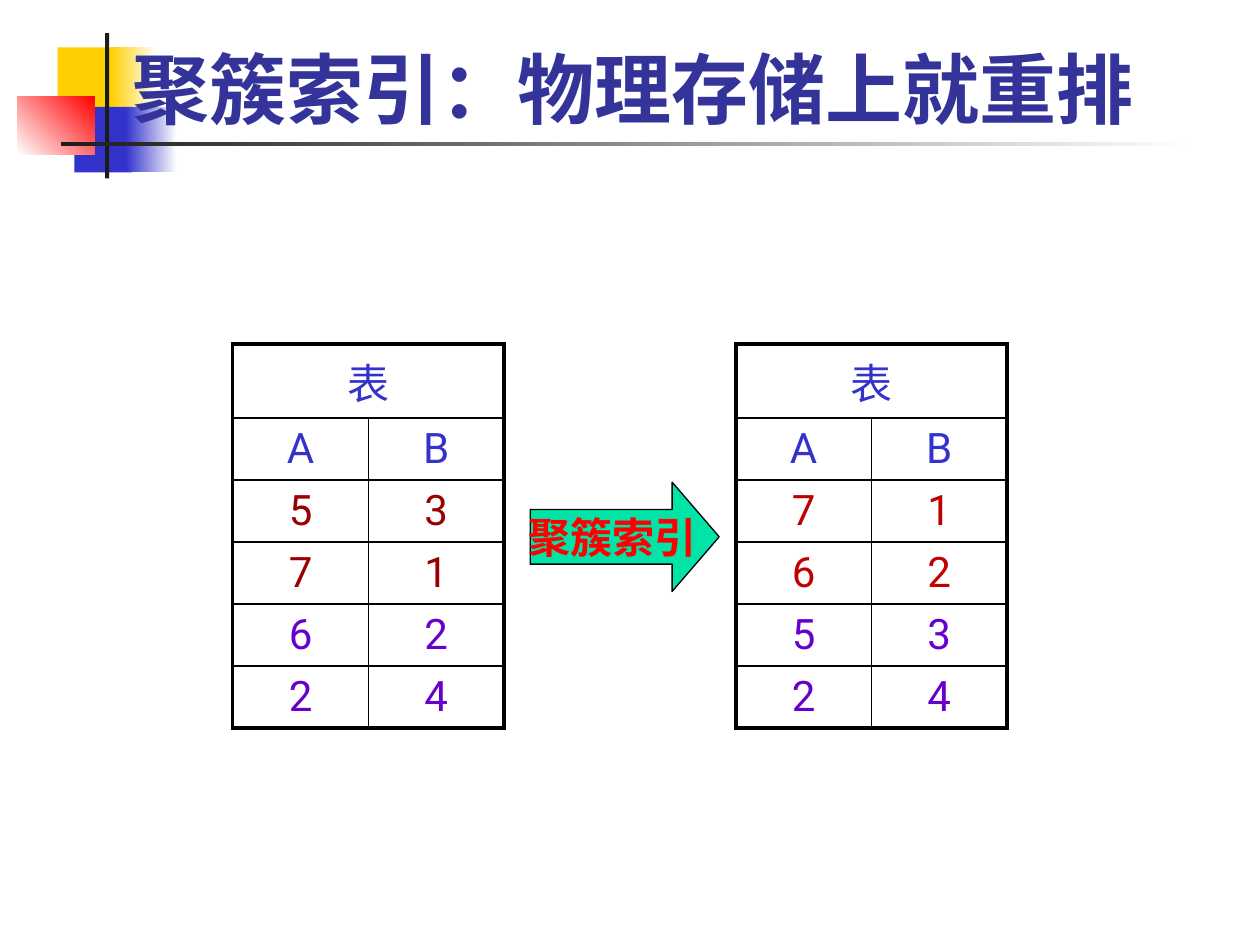
import dataclasses

import lxml.etree
import pptx
import pptx.dml.color
import pptx.enum.shapes
import pptx.enum.text
import pptx.oxml
import pptx.oxml.ns
import pptx.util

Pt = pptx.util.Pt
RGB = pptx.dml.color.RGBColor.from_string
SHAPE = pptx.enum.shapes.MSO_SHAPE
ALIGN = pptx.enum.text.PP_ALIGN
ANCHOR = pptx.enum.text.MSO_ANCHOR


@dataclasses.dataclass(frozen=True)
class Theme:
    font: str = "Roboto"
    cjk_font: str = "Noto Sans CJK JP"
    title_size: float = 44
    body_size: float = 24
    outer_line: float = 2.25
    inner_line: float = 1
    title: str = "333399"
    blue: str = "3333CC"
    yellow: str = "FFCF01"
    red: str = "FF0000"
    white: str = "FFFFFF"
    ink: str = "1C1C1C"
    black: str = "000000"
    arrow: str = "00E4A8"
    dark_red: str = "990000"
    crimson: str = "C00000"
    purple: str = "6600CC"


THEME = Theme()


def style(p, size, color, font, bold=False):
    p.alignment = ALIGN.CENTER
    p.font.size = Pt(size)
    p.font.name = font
    p.font.bold = bold
    p.font.color.rgb = RGB(color)


def add_block(s, left, top, width, height, colors, angle=0):
    """Borderless rectangle: one colour is solid, two make a gradient."""
    sp = s.shapes.add_shape(SHAPE.RECTANGLE, Pt(left), Pt(top), Pt(width), Pt(height))
    sp.shadow.inherit = False
    sp.line.fill.background()
    if len(colors) == 1:
        sp.fill.solid()
        sp.fill.fore_color.rgb = RGB(colors[0])
        return
    sp.fill.gradient()
    sp.fill.gradient_angle = angle
    for stop, color in zip(sp.fill.gradient_stops, colors):
        stop.color.rgb = RGB(color)


def add_decoration(s, left, top):
    """Overlapping colour blocks crossed by two rules."""
    t = THEME
    blocks = [
        (23, 8, 34.5, 37.5, [t.yellow], 0),
        (53.5, 8, 26, 37.5, [t.yellow, t.white], 0),
        (32.5, 42, 33, 37.5, [t.blue], 0),
        (62, 42, 29, 37.5, [t.blue, t.white], 0),
        (0, 36, 44, 33.5, [t.white, t.red], 45),
        (50, 0, 2.4, 83, [t.ink], 0),
        (25, 62, 648, 2.4, [t.ink, t.white], 0),
    ]
    for x, y, width, height, colors, angle in blocks:
        add_block(s, left + x, top + y, width, height, colors, angle)


def add_title(s, left, top, width, height, text):
    sp = s.shapes.title
    sp.left, sp.top, sp.width, sp.height = Pt(left), Pt(top), Pt(width), Pt(height)
    tf = sp.text_frame
    tf.text = text
    tf.auto_size = pptx.enum.text.MSO_AUTO_SIZE.NONE
    tf.vertical_anchor = ANCHOR.BOTTOM
    style(tf.paragraphs[0], THEME.title_size, THEME.title, THEME.font, True)
    # Bring the title in front of the decoration
    sp.element.getparent().append(sp.element)


def set_borders(cell, widths):
    """Draw the left, right, top and bottom borders, in that order."""
    tc_pr = cell._tc.get_or_add_tcPr()
    for i, (side, width) in enumerate(zip("LRTB", widths)):
        ln = pptx.oxml.parse_xml(
            f'<a:ln{side} {pptx.oxml.ns.nsdecls("a")} w="{Pt(width)}"><a:solidFill>'
            f'<a:srgbClr val="{THEME.black}"/></a:solidFill></a:ln{side}>'
        )
        tc_pr.insert(i, ln)


def add_data_table(s, left, top, width, height, rows, colors):
    """Table with a merged caption row and a heavy outer frame."""
    n_rows, n_cols = len(rows), len(rows[-1])
    caption_height = 42.3
    row_height = (height - caption_height) / (n_rows - 1)
    table = s.shapes.add_table(
        n_rows, n_cols, Pt(left), Pt(top), Pt(width), Pt(height)
    ).table
    table.first_row = table.horz_banding = False
    for col in table.columns:
        col.width = Pt(width / n_cols)
    for i, row in enumerate(table.rows):
        row.height = Pt(row_height if i else caption_height)
    table.cell(0, 0).merge(table.cell(0, n_cols - 1))

    for i, (values, color) in enumerate(zip(rows, colors)):
        for j in range(n_cols):
            cell = table.cell(i, j)
            cell.fill.background()
            edges = (j == 0, j == n_cols - 1 or i == 0, i == 0, i == n_rows - 1)
            set_borders(
                cell, [THEME.outer_line if e else THEME.inner_line for e in edges]
            )
            if j < len(values):
                cell.text = values[j]
                style(cell.text_frame.paragraphs[0], THEME.body_size, color, THEME.font)


def add_arrow(s, left, top, width, height, text):
    sp = s.shapes.add_shape(
        SHAPE.RIGHT_ARROW, Pt(left), Pt(top), Pt(width), Pt(height)
    )
    sp.adjustments[0], sp.adjustments[1] = 0.5, 0.43
    sp.shadow.inherit = False
    sp.fill.solid()
    sp.fill.fore_color.rgb = RGB(THEME.arrow)
    sp.line.color.rgb = RGB(THEME.black)
    sp.line.width = Pt(0.75)
    tf = sp.text_frame
    tf.text = text
    tf.word_wrap = False
    tf.vertical_anchor = ANCHOR.MIDDLE
    p = tf.paragraphs[0]
    style(p, THEME.body_size, THEME.red, THEME.cjk_font, True)
    # East Asian typeface for the label
    ea = lxml.etree.SubElement(p.font._element, pptx.oxml.ns.qn("a:ea"))
    ea.set("typeface", THEME.cjk_font)


def main():
    prs = pptx.Presentation()
    prs.slide_width, prs.slide_height = Pt(720), Pt(540)
    s = prs.slides.add_slide(prs.slide_layouts.get_by_name("Title Only"))

    add_decoration(s, 10, 19)
    add_title(s, 28, 13, 668, 67, "聚簇索引：物理存储上就重排")

    # The table before and after clustering
    t = THEME
    header = ["表", "AB"]
    top, width, height = 196.6, 155, 219.3
    add_data_table(
        s, 133, top, width, height, header + ["53", "71", "62", "24"],
        [t.blue] * 2 + [t.dark_red] * 2 + [t.purple] * 2,
    )
    add_data_table(
        s, 420.5, top, width, height, header + ["71", "62", "53", "24"],
        [t.blue] * 2 + [t.crimson] * 2 + [t.purple] * 2,
    )
    add_arrow(s, 303, 275.5, 108, 62.5, "聚簇索引")
    prs.save("out.pptx")


if __name__ == "__main__":
    main()
